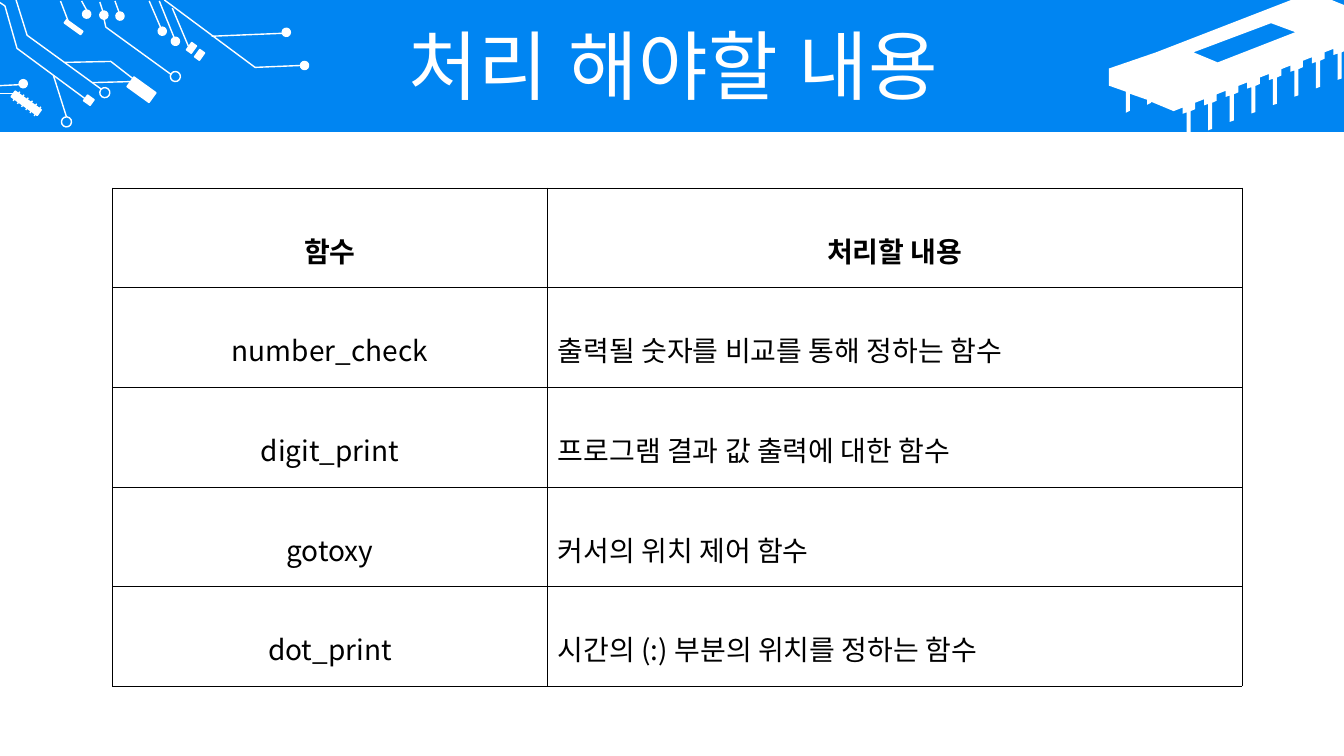
"""Build the slide listing the functions to be written, under a circuit-board banner."""
from lxml import etree
from pptx import Presentation
from pptx import util as u
from pptx.dml.color import RGBColor
from pptx.enum import shapes, text
from pptx.oxml.ns import qn

RECT, OVAL = shapes.MSO_SHAPE.RECTANGLE, shapes.MSO_SHAPE.OVAL
CENTER, JUSTIFY = text.PP_ALIGN.CENTER, text.PP_ALIGN.JUSTIFY
color = RGBColor.from_string


def write(tf, content, size, font, hue, spacing, bold=False, align=CENTER):
    p = tf.paragraphs[0]
    p.alignment, p.line_spacing = align, spacing
    r = p.add_run()
    r.text = content
    r.font.size, r.font.name, r.font.bold = u.Pt(size), font, bold
    r.font.color.rgb = color(hue)
    etree.SubElement(r.font._element, qn("a:ea"), typeface=font)


def style(sp, fill=None, line=None):
    sp.shadow.inherit = False
    if fill:
        sp.fill.solid()
        sp.fill.fore_color.rgb = color(fill)
    else:
        sp.fill.background()
    if line:
        sp.line.color.rgb = color(line)
        sp.line.width = u.Pt(1)
    else:
        sp.line.fill.background()


prs = Presentation()
prs.slide_width, prs.slide_height = u.Pt(960), u.Pt(540)
s = prs.slides.add_slide(prs.slide_layouts[6])

banner = s.shapes.add_shape(RECT, 0, 0, u.Pt(960), u.Pt(94.3))
style(banner, "0085F2")

pin = [(0, 0), (0, 18.7), (-2.9, 19.7), (-2.9, 0.9),
       (-5.8, 1.9), (-5.8, -2.5), (-12.2, 0), (-12.2, 4.6)]
pins = [(958.3 - 15.4 * i + dx, 37.4 + 6 * i + dy) for i in range(8) for dx, dy in pin]
chip = [(922.3, 0), (951.1, 0), (960, 3.6), (960, 36.7)] + pins[:-1] + [
    (822.2, 72.7), (822.2, 73.4), (819.4, 74.9), (819.4, 71.3), (807.1, 67),
    (807.1, 79.2), (804.2, 80.6), (804.2, 65.5), (792, 61.2), (792, 49), (825.8, 37.4)]
window = [(907.9, 16.6), (852.5, 37.4), (869.8, 44.6), (925.2, 23)]
fb = s.shapes.build_freeform(u.Pt(chip[0][0]), u.Pt(chip[0][1]))
fb.add_line_segments([(u.Pt(x), u.Pt(y)) for x, y in chip[1:]], close=True)
fb.move_to(u.Pt(window[0][0]), u.Pt(window[0][1]))
fb.add_line_segments([(u.Pt(x), u.Pt(y)) for x, y in window[1:]], close=True)
style(fb.convert_to_shape(), "FFFFFF")

parts = [(91.4, 59.8, 19.4, 8.6), (45.4, 18, 14.4, 2.9), (60.5, 69.1, 5.8, 5),
         (134.6, 31, 4.3, 6.5), (140.4, 36, 4.3, 6.5), (7.2, 71.3, 23, 5)]
dots = [(214.6, 43.9), (201.6, 20.2), (59, 7.2), (71.3, 7.9), (82.8, 8.6),
        (13.7, 56.9), (122.4, 26.6), (113, 19.4)]
rings = [(121.7, 51.1), (71.3, 62.6), (43.9, 83.5)]
pieces = ([(RECT, *box, "FFFFFF") for box in parts]
          + [(OVAL, x, y, 5.8, 5.8, "FFFFFF") for x, y in dots]
          + [(OVAL, x, y, 7.2, 7.2, None) for x, y in rings])
for kind, x, y, w, h, fill in pieces:
    sp = s.shapes.add_shape(kind, u.Pt(x), u.Pt(y), u.Pt(w), u.Pt(h))
    sp.rotation = 35.7
    style(sp, fill, "FFFFFF")

traces = [
    [(117.4, 0), (182.2, 48.2), (215.3, 46.8)],
    [(11.5, 0), (19.4, 25.2), (72, 63.4)],
    [(-0.7, 1.4), (3.6, 4.3), (12.2, 34.6), (61.9, 71.3)],
    [(46.1, 44.6), (79.2, 43.9), (95, 56.2)],
    [(74.2, 13), (75.6, 19.4), (122.4, 53.3)]]
for start, *rest in traces:
    fb = s.shapes.build_freeform(u.Pt(start[0]), u.Pt(start[1]))
    fb.add_line_segments([(u.Pt(x), u.Pt(y)) for x, y in rest], close=False)
    style(fb.convert_to_shape(), line="FFFFFF")

leads = [(43.2, 0.7, 49, 15.8), (58.3, 0.7, 61.9, 7.2), (71.3, 1.4, 73.4, 7.9),
         (82.1, 0.7, 85, 8.6), (106.6, 0.7, 115.9, 22.3), (113.8, 0.7, 124.6, 27.4),
         (151.2, 25.9, 201.6, 23.8), (123.1, 5.8, 134.6, 33.1), (-0.7, 61.2, 13.7, 60.5),
         (-0.7, 67, 10.1, 67), (38.2, 54, 47.5, 83.5), (66.2, 59, 93.6, 58.3)]
teeth = [(9.4 + 3 * i, 72 + 2.16 * i, 14.2 + 3 * i, 65.5 + 2.16 * i) for i in range(6)]
for x1, y1, x2, y2 in leads + teeth:
    cx = s.shapes.add_connector(shapes.MSO_CONNECTOR.STRAIGHT,
                                u.Pt(x1), u.Pt(y1), u.Pt(x2), u.Pt(y2))
    cx.line.color.rgb = color("FFFFFF")
    cx.line.width = u.Pt(1)
    etree.SubElement(cx._element.spPr, qn("a:effectLst"))

title = s.shapes.add_textbox(u.Pt(25.2), u.Pt(21.6), u.Pt(911.5), u.Pt(56.9))
tf = title.text_frame
tf.word_wrap = True
tf.vertical_anchor = text.MSO_ANCHOR.MIDDLE
write(tf, "처리 해야할 내용", 54, "Arial", "FFFFFF", 0.9)

rows = [("함수", "처리할 내용"),
        ("number_check", "출력될 숫자를 비교를 통해 정하는 함수"),
        ("digit_print", "프로그램 결과 값 출력에 대한 함수"),
        ("gotoxy", "커서의 위치 제어 함수"),
        ("dot_print", "시간의 (:) 부분의 위치를 정하는 함수")]
tbl = s.shapes.add_table(len(rows), 2, u.Pt(80.2), u.Pt(134.2), u.Pt(807), u.Pt(356)).table
tbl.columns[0].width, tbl.columns[1].width = u.Pt(311), u.Pt(496)
for i, row in enumerate(rows):
    tbl.rows[i].height = u.Pt(71.2)
    for j, content in enumerate(row):
        cell = tbl.cell(i, j)
        cell.vertical_anchor = text.MSO_ANCHOR.MIDDLE
        write(cell.text_frame, content, 20, "Noto Sans CJK KR", "000000", 1.6,
              bold=i == 0, align=JUSTIFY if i and j else CENTER)
        tcPr = cell._tc.get_or_add_tcPr()
        for side in ("a:lnL", "a:lnR", "a:lnT", "a:lnB"):
            ln = etree.SubElement(tcPr, qn(side), w=str(u.Pt(0.33)))
            solid = etree.SubElement(ln, qn("a:solidFill"))
            etree.SubElement(solid, qn("a:srgbClr"), val="000000")
        cell.fill.background()

prs.save("out.pptx")
